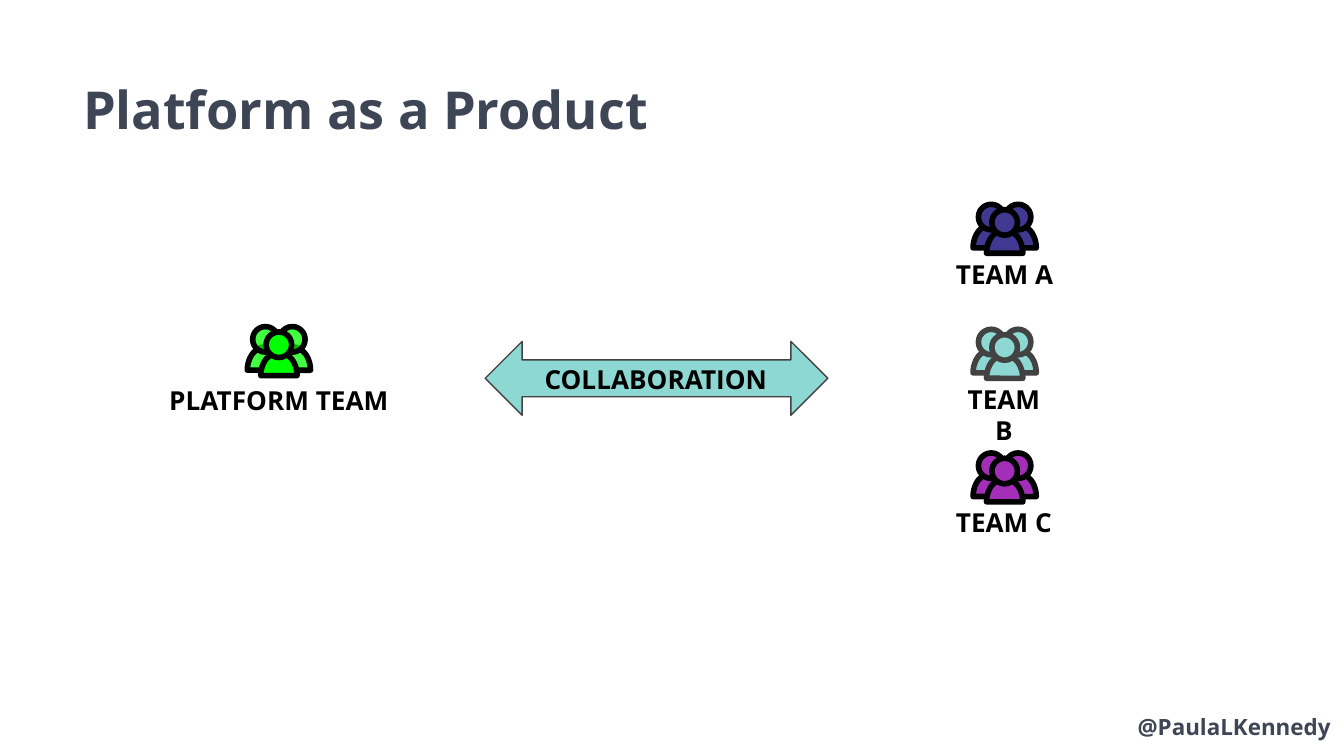
from dataclasses import dataclass

import pptx
import pptx.dml.color
import pptx.enum.shapes
import pptx.enum.text
import pptx.oxml
import pptx.oxml.ns
import pptx.util

SHAPE = pptx.enum.shapes.MSO_SHAPE
ALIGN = pptx.enum.text.PP_ALIGN
ANCHOR = pptx.enum.text.MSO_ANCHOR
PX = 9144  # 100 px to the inch


@dataclass(frozen=True)
class Theme:
    font: str = "Open Sans"
    slate: str = "3E4656"
    black: str = "000000"
    grey: str = "424242"
    green: str = "00FF00"
    indigo: str = "403891"
    teal: str = "8DD8D3"
    purple: str = "A32FB9"
    title_size: int = 28
    label_size: int = 14
    footer_size: int = 12
    icon_line: float = 3
    arrow_line: float = 0.75


def rgb(value):
    return pptx.dml.color.RGBColor.from_string(value)


class Deck:
    def __init__(self, theme, slide):
        self.theme = theme
        self.slide = slide

    def text(self, parent, box, words, size, color, align=ALIGN.CENTER,
             anchor=ANCHOR.TOP):
        sp = parent.add_textbox(*(n * PX for n in box))
        tf = sp.text_frame
        tf.text = words
        tf.word_wrap = True
        tf.vertical_anchor = anchor
        tf.margin_left = tf.margin_right = 10 * PX
        tf.margin_top = tf.margin_bottom = 10 * PX
        p = tf.paragraphs[0]
        p.alignment = align
        font = p.runs[0].font
        font.name = self.theme.font
        font.size = pptx.util.Pt(size)
        font.bold = True
        font.color.rgb = rgb(color)

    def shape(self, parent, kind, box, fill, line, weight, opacity=100):
        sp = parent.add_shape(kind, *(n * PX for n in box))
        sp.shadow.inherit = False
        sp.fill.solid()
        sp.fill.fore_color.rgb = rgb(fill)
        sp.line.color.rgb = rgb(line)
        sp.line.width = pptx.util.Pt(weight)
        if opacity < 100:
            qn = pptx.oxml.ns.qn
            clr = sp._element.spPr.find(qn("a:solidFill")).find(qn("a:srgbClr"))
            alpha = pptx.oxml.parse_xml(
                f'<a:alpha {pptx.oxml.ns.nsdecls("a")} val="{opacity * 1000}"/>')
            clr.append(alpha)
        return sp

    def person(self, parent, cx, y, fill, line, opacity):
        """Draw a half-disc body with a round head over it."""
        weight = self.theme.icon_line
        body = self.shape(parent, SHAPE.PIE, (cx - 17, y + 19, 35, 27),
                          fill, line, weight, opacity)
        body.adjustments[0] = 54.115
        body.adjustments[1] = 162
        body.rotation = 90
        self.shape(parent, SHAPE.OVAL, (cx - 9, y, 19, 19),
                   fill, line, weight, opacity)

    def team(self, name, cx, y, width, fill, line, label_drop=30,
             back_opacity=100):
        """Group two people behind, one in front, and a label below."""
        shapes = self.slide.shapes.add_group_shape().shapes
        for dx, dy, opacity in ((10, 0, back_opacity), (-10, 0, back_opacity),
                                (0, 4, 100)):
            self.person(shapes, cx + dx, y + dy, fill, line, opacity)
        self.text(shapes, (cx - width // 2, y + label_drop, width, 44), name,
                  self.theme.label_size, self.theme.black)

    def arrow(self, box, fill, line):
        self.shape(self.slide.shapes, SHAPE.LEFT_RIGHT_ARROW, box,
                   fill, line, self.theme.arrow_line)


def main():
    prs = pptx.Presentation()
    prs.slide_width = 1000 * PX
    prs.slide_height = prs.slide_width * 9 // 16
    s = prs.slides.add_slide(prs.slide_layouts[6])
    t = Theme()
    deck = Deck(t, s)

    deck.text(s.shapes, (812, 521, 188, 40), "@PaulaLKennedy",
              t.footer_size, t.slate, ALIGN.RIGHT)
    deck.text(s.shapes, (52, 47, 806, 67), "Platform as a Product",
              t.title_size, t.slate, ALIGN.LEFT, ANCHOR.MIDDLE)

    deck.team("PLATFORM TEAM", 207, 243, 185, t.green, t.black,
              label_drop=33, back_opacity=74)
    teams = (("TEAM A", 101, t.indigo, t.black),
             ("TEAM B", 90, t.teal, t.grey),
             ("TEAM C", 94, t.purple, t.black))
    for i, (name, width, fill, line) in enumerate(teams):
        deck.team(name, 747, 152 + (185 * i + 1) // 2, width, fill, line)

    deck.arrow((361, 254, 255, 55), t.teal, t.grey)
    deck.text(s.shapes, (384, 260, 208, 44), "COLLABORATION",
              t.label_size, t.black, anchor=ANCHOR.MIDDLE)

    prs.save("out.pptx")


if __name__ == "__main__":
    main()
